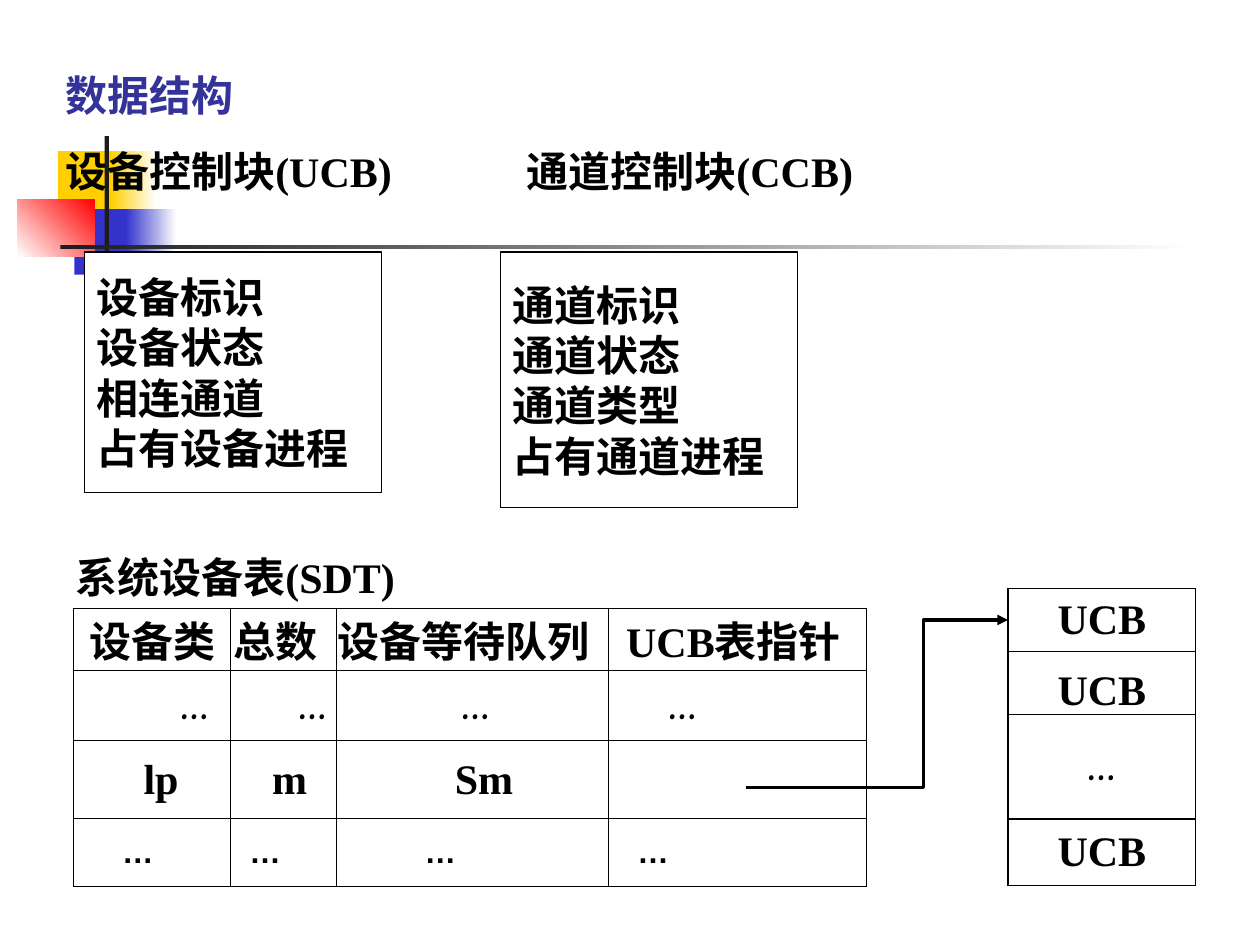
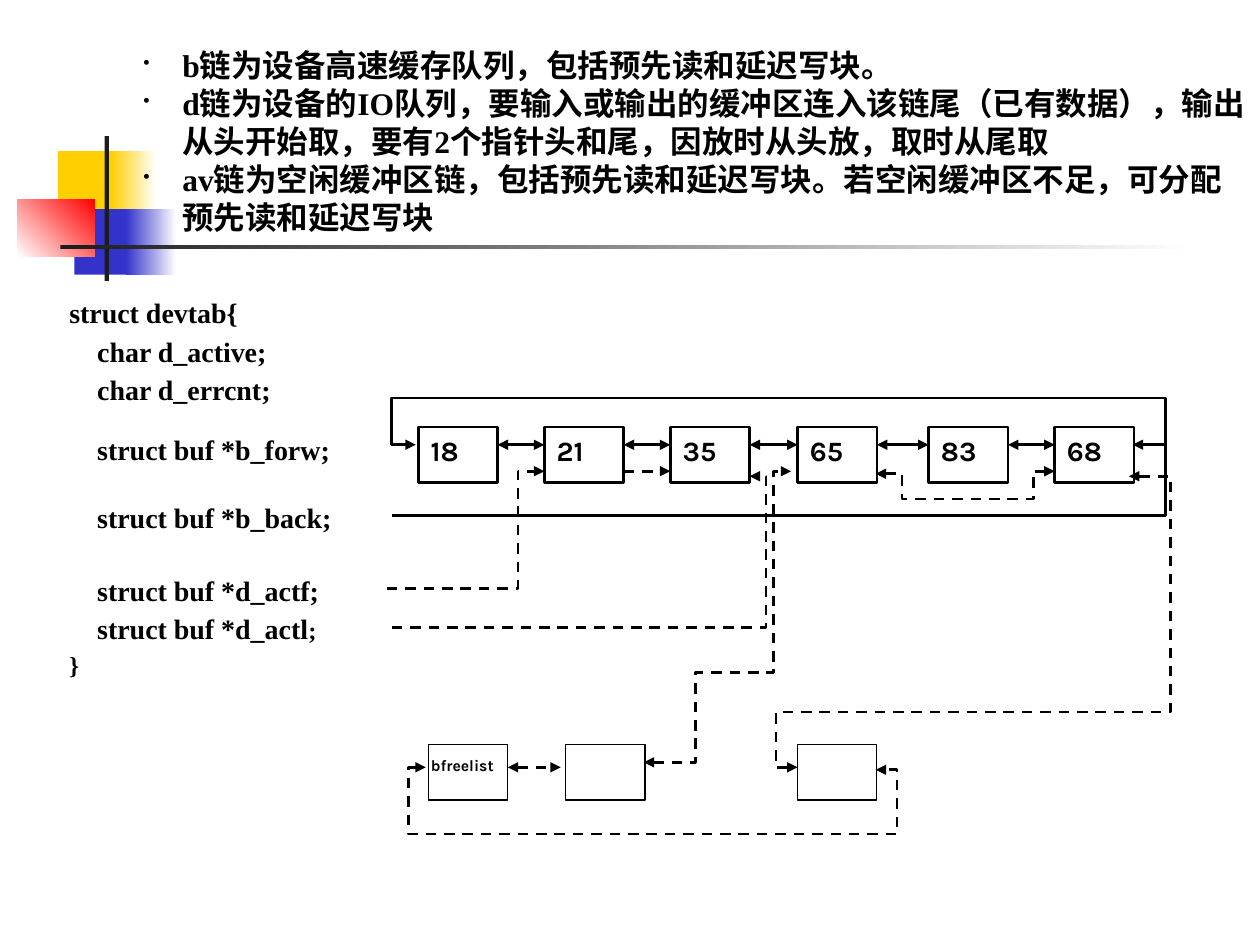
"""Build two slides on device tables and buffer queues."""
from itertools import pairwise

from lxml import etree
from pptx import Presentation
from pptx.dml.color import RGBColor
from pptx.enum.dml import MSO_LINE
from pptx.enum.shapes import MSO_CONNECTOR, MSO_SHAPE
from pptx.enum.text import MSO_ANCHOR, PP_ALIGN
from pptx.oxml.ns import qn
from pptx.util import Inches, Pt

DASH = MSO_LINE.DASH
STRAIGHT = MSO_CONNECTOR.STRAIGHT
RECT = MSO_SHAPE.RECTANGLE
TOP, MID, LOW = MSO_ANCHOR.TOP, MSO_ANCHOR.MIDDLE, MSO_ANCHOR.BOTTOM
LEFT, CENTER = PP_ALIGN.LEFT, PP_ALIGN.CENTER

HUES = {"ink": "000000", "paper": "FFFFFF", "title": "333399", "gold": "FFCF01",
        "blue": "3333CC", "red": "FF0000", "dark": "1C1C1C"}
RGB = {name: RGBColor.from_string(code) for name, code in HUES.items()}
SERIF, SANS, COMIC, PLAIN = "Times New Roman", "Karla", "Comic Neue", "Arial"

deck = Presentation()
deck.slide_width, deck.slide_height = Inches(10), Inches(7.5)
COL, ROW = deck.slide_width / 100, deck.slide_height / 75
first, second = [deck.slides.add_slide(deck.slide_layouts[6]) for _ in range(2)]


def write(frame, paras, align=LEFT):
    """Fill a text frame from (space before, runs) pairs."""
    for i, (gap, runs) in enumerate(paras):
        para = frame.add_paragraph() if i else frame.paragraphs[0]
        para.alignment = align
        para.space_before = Pt(gap)
        for text, size, face, hue in runs:
            run = para.add_run()
            run.text = text
            run.font.size, run.font.name, run.font.bold = Pt(size), face, True
            run.font.color.rgb = RGB[hue]


def wire(slide, spots, ends="", width=1.5, dash=False):
    """Draw a line through grid spots, with arrowheads at the named ends."""
    (x, y), *rest = [(round(a * COL), round(b * ROW)) for a, b in spots]
    if len(rest) == 1:
        line = slide.shapes.add_connector(STRAIGHT, x, y, *rest[0])
    else:
        pen = slide.shapes.build_freeform(x, y)
        pen.add_line_segments(rest, close=False)
        line = pen.convert_to_shape()
        line.fill.background()
    line.line.color.rgb = RGB["ink"]
    line.line.width = Pt(width)
    if dash:
        line.line.dash_style = DASH
    props = line.element.spPr
    for end in ends.split():
        etree.SubElement(props.find(qn("a:ln")), qn(f"a:{end}End"), type="triangle")
    etree.SubElement(props, qn("a:effectLst"))


motif = [
    (4.6, 12, 4.8, 5.2, ["gold"], 0),
    (8.8, 12, 3.6, 5.2, ["gold", "paper"], 0),
    (5.9, 16.6, 4.6, 5.2, ["blue"], 0),
    (10, 16.6, 4, 5.2, ["blue", "paper"], 0),
    (1.4, 15.8, 6.1, 4.6, ["paper", "red"], 45),
    (8.3, 10.8, 0.35, 11.5, ["dark"], 0),
    (4.8, 19.45, 90, 0.35, ["dark", "paper"], 0),
]
for slide in (first, second):
    for x, y, w, h, hues, angle in motif:
        part = slide.shapes.add_shape(RECT, round(x * COL), round(y * ROW),
                                      round(w * COL), round(h * ROW))
        part.shadow.inherit = False
        part.line.fill.background()
        if len(hues) == 1:
            part.fill.solid()
            part.fill.fore_color.rgb = RGB[hues[0]]
        else:
            part.fill.gradient()
            part.fill.gradient_angle = angle
            for stop, hue in zip(part.fill.gradient_stops, hues):
                stop.color.rgb = RGB[hue]

big = (24, SERIF, "ink")
code = (16, SERIF, "ink")
small = (14, SERIF, "ink")
heads = [(0, [("数据结构", 24, SERIF, "title")]),
         (15, [("设备控制块(UCB)\t通道控制块(CCB)", *big)])]
fields = [["设备标识", "设备状态", "相连通道", "占有设备进程"],
          ["通道标识", "通道状态", "通道类型", "占有通道进程"]]
struct = [
    (0, [("struct devtab{", *code)]),
    (2.7, [("    char d_active;", *code)]),
    (2.7, [("    char d_errcnt;", *code)]),
    (15.3, [("    struct buf *b_forw;", *code)]),
    (19.3, [("    struct buf *b_back;", *code)]),
    (22.7, [("    struct buf *d_actf;", *code)]),
    (2.7, [("    struct buf *d_actl", *code), (";", *small)]),
    (2.7, [("}", *small)]),
]
notes = [
    "b链为设备高速缓存队列，包括预先读和延迟写块。",
    "d链为设备的IO队列，要输入或输出的缓冲区连入该链尾（已有数据），"
    "输出从头开始取，要有2个指针头和尾，因放时从头放，取时从尾取",
    "av链为空闲缓冲区链，包括预先读和延迟写块。若空闲缓冲区不足，可分配预先读和延迟写块",
]

texts = [
    (first, 4.2, 5, 93.3, 11.1, 1, heads),
    (first, 5, 43.3, 33.3, 5, 1, [(0, [("系统设备表(SDT)", *big)])]),
    (second, 5.5, 23, 25.2, 30.5, 0, struct),
    (second, 10.4, 3.2, 89.6, 16, 1,
     [(0, [(note, 18, SERIF, "ink")]) for note in notes]),
]
frames = []
for slide, x, y, w, h, pad, paras in texts:
    area = slide.shapes.add_textbox(round(x * COL), round(y * ROW),
                                    round(w * COL), round(h * ROW))
    frame = area.text_frame
    frame.word_wrap = True
    frame.margin_left = frame.margin_right = round(pad * COL)
    write(frame, paras)
    frames.append(frame)

props = frames[0].paragraphs[1]._p.get_or_add_pPr()
tabs = etree.SubElement(props, qn("a:tabLst"))
etree.SubElement(tabs, qn("a:tab"), pos=str(round(36.6 * COL)), algn="l")
for para in frames[3].paragraphs:
    props = para._p.get_or_add_pPr()
    props.set("marL", str(round(3.1 * COL)))
    props.set("indent", str(round(-3.1 * COL)))
    tint = etree.SubElement(props, qn("a:buClr"))
    etree.SubElement(tint, qn("a:srgbClr"), val=HUES["ink"])
    etree.SubElement(props, qn("a:buSzPct"), val="60000")
    etree.SubElement(props, qn("a:buChar"), char="•")

nodes = [33.2, 43.2, 53.2, 63.3, 73.7, 83.7]
WIDE, HIGH = 6.3, 4.4
boxes = [(first, x, 20, 23.6, h, "paper", 0.75, MID, (1, 0.5),
          [(0, [(word, *big)]) for word in words])
         for x, h, words in zip((6.7, 39.7), (19.1, 20.3), fields)]
boxes += [(second, x, 33.9, WIDE, HIGH, None, 1.5, TOP, (1, 0.5),
           [(0, [(label, 16, SANS, "ink")])])
          for x, label in zip(nodes, ["18", "21", "35", "65", "83", "68"])]
boxes += [(second, x, 59.1, WIDE, HIGH, None, 0.75, TOP, (0.2, 0.9), paras)
          for x, paras in ((34, [(0, [("bfreelist", 9, SANS, "ink")])]),
                           (44.9, []), (63.3, []))]
for slide, x, y, w, h, fill, width, anchor, (side, top), paras in boxes:
    box = slide.shapes.add_shape(RECT, round(x * COL), round(y * ROW),
                                 round(w * COL), round(h * ROW))
    box.shadow.inherit = False
    if fill:
        box.fill.solid()
        box.fill.fore_color.rgb = RGB[fill]
    else:
        box.fill.background()
    box.line.color.rgb = RGB["ink"]
    box.line.width = Pt(width)
    frame = box.text_frame
    frame.word_wrap = True
    frame.vertical_anchor = anchor
    frame.margin_left = frame.margin_right = round(side * COL)
    frame.margin_top = frame.margin_bottom = round(top * ROW)
    write(frame, paras)

table = [["设备类", "总数", "设备等待队列", "UCB表指针"],
         ["…"] * 4, ["lp", "m", "Sm", ""], ["…"] * 4]
insets = [[1.3, 0.2, 0.1, 1.4], [8.5, 5.4, 9.9, 4.8],
          [5.6, 3.3, 9.4, 0], [3.9, 1.5, 7, 2.3]]
faces = [(24, SERIF), (24, COMIC), (24, SERIF), (18, PLAIN)]
stack = [["UCB"], ["UCB"], ["…"], ["UCB"]]
grids = [
    (5.8, 48.3, [12.5, 8.4, 21.6, 20.5], [4.9, 5.6, 6.2, 5.4],
     table, insets, faces, LEFT, [MID] * 4),
    (80, 46.7, [14.9], [5, 5, 8.3, 5.3],
     stack, [[0]] * 4, [faces[0], faces[0], faces[1], faces[0]], CENTER,
     [MID, LOW, MID, MID]),
]
for x, y, cols, rows, words, pads, fonts, align, anchors in grids:
    grid = first.shapes.add_table(len(rows), len(cols), round(x * COL), round(y * ROW),
                                  round(sum(cols) * COL), round(sum(rows) * ROW)).table
    grid.first_row = grid.horz_banding = False
    for c, w in enumerate(cols):
        grid.columns[c].width = round(w * COL)
    for r, h in enumerate(rows):
        grid.rows[r].height = round(h * ROW)
        for c, word in enumerate(words[r]):
            cell = grid.cell(r, c)
            cell.margin_left = round(pads[r][c] * COL)
            cell.margin_right = cell.margin_top = cell.margin_bottom = 0
            cell.vertical_anchor = anchors[r]
            props = cell._tc.get_or_add_tcPr()
            for side in "LRTB":
                edge = etree.SubElement(props, qn(f"a:ln{side}"), w=str(Pt(0.75)))
                tint = etree.SubElement(edge, qn("a:solidFill"))
                etree.SubElement(tint, qn("a:srgbClr"), val=HUES["ink"])
            cell.fill.solid()
            cell.fill.fore_color.rgb = RGB["paper"]
            cell.text_frame.word_wrap = False
            if word:
                write(cell.text_frame, [(0, [(word, *fonts[r], "ink")])], align)

wire(first, [(59.2, 62.5), (73.3, 62.5), (73.3, 49.2), (80, 49.2)], "tail", 2)

BOTH = "head tail"
for here, there in pairwise(nodes):
    wire(second, [(here + WIDE, 35.3), (there, 35.3)], BOTH)
wire(second, [(33, 35.3), (31.1, 35.3), (31.1, 31.6), (92.5, 31.6),
              (92.5, 35.3), (89.9, 35.3)], BOTH)
wire(second, [(31.1, 40.9), (92.5, 40.9), (92.5, 35.2)])

links = [
    ([(40.3, 60.9), (44.5, 60.9)], BOTH),
    ([(69.5, 37.6), (71.6, 37.6), (71.6, 39.6), (82, 39.6), (82, 37.4), (83.7, 37.4)], BOTH),
    ([(51.1, 60.5), (55.2, 60.5), (55.2, 53.4), (61.4, 53.4), (61.4, 37.4), (62.8, 37.4)], BOTH),
    ([(33.8, 60.9), (32.4, 60.9), (32.4, 66.2), (71.2, 66.2), (71.2, 61.1), (69.5, 61.1)], BOTH),
    ([(63.3, 60.9), (61.6, 60.9), (61.6, 56.5), (92.9, 56.5), (92.9, 37.8), (89.6, 37.8)], BOTH),
    ([(49.5, 37.4), (53.2, 37.4)], "tail"),
    ([(30.7, 46.7), (41.1, 46.7), (41.1, 37.4), (43.2, 37.4)], "tail"),
    ([(31.1, 49.8), (60.8, 49.8), (60.8, 37.8), (59.5, 37.8)], "tail"),
]
for spots, ends in links:
    wire(second, spots, ends, dash=True)

deck.save("out.pptx")
